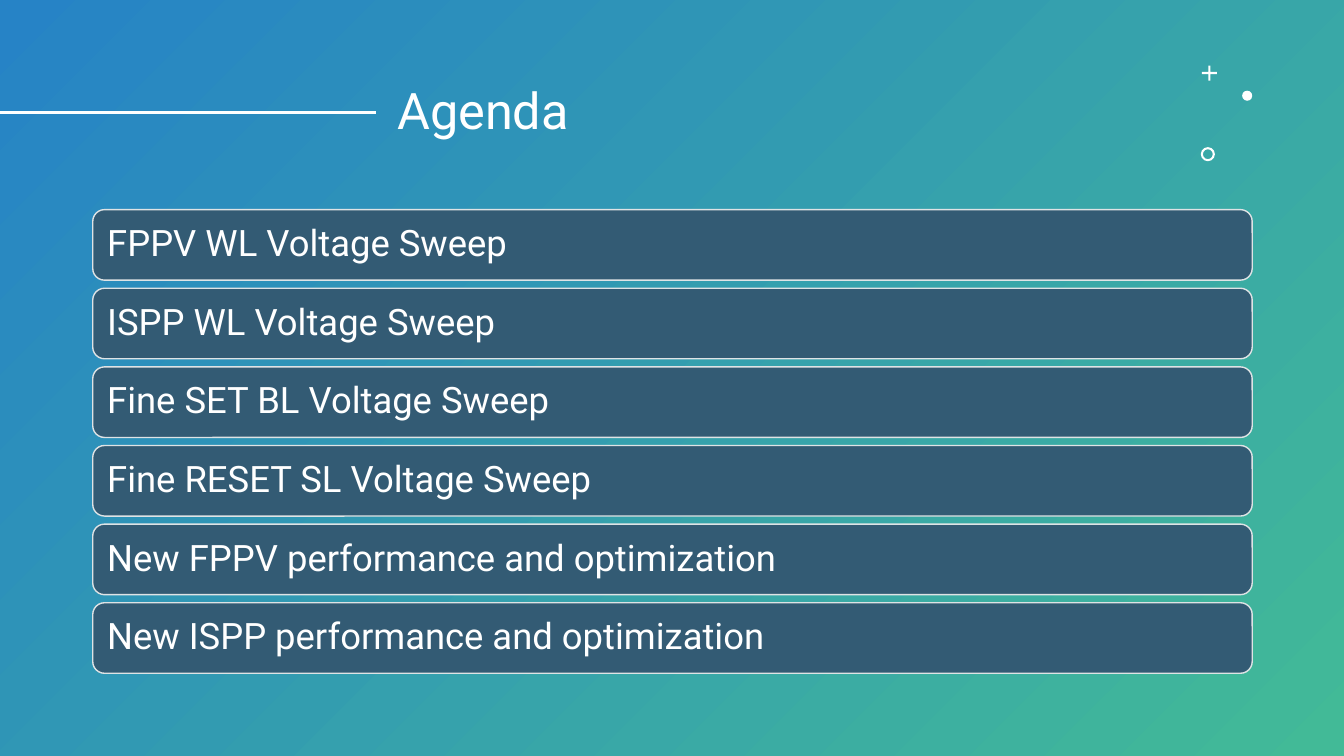
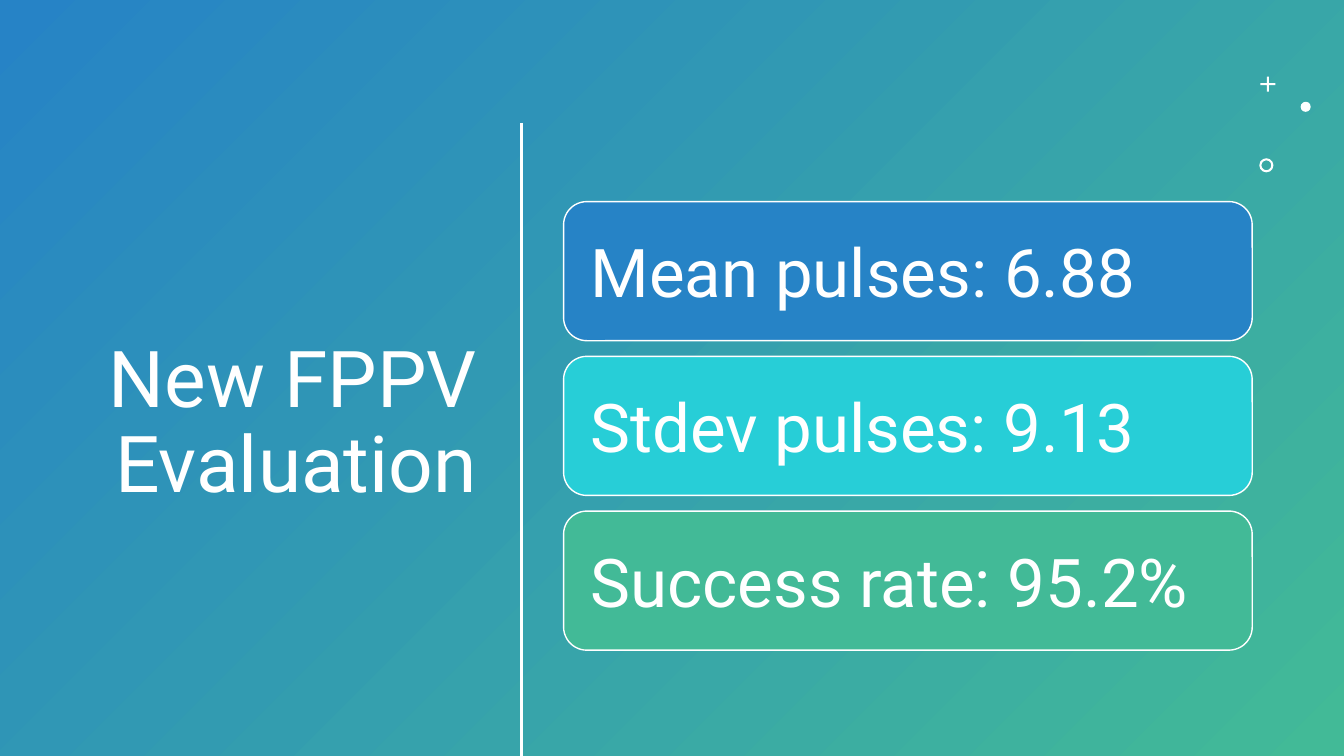
from dataclasses import dataclass

from lxml import etree
from pptx import Presentation
from pptx import util as u
from pptx.dml import color
from pptx.enum import shapes, text
from pptx.oxml import ns

KIND = shapes.MSO_SHAPE
ALIGN = text.PP_ALIGN


@dataclass(frozen=True)
class Theme:
    """Colours, font and type sizes of the presentation."""
    font: str = "Roboto"
    white: str = "FFFFFF"
    blue: str = "2683C6"
    cyan: str = "27CED7"
    green: str = "42BA97"
    slate: str = "335B74"
    edge: str = "DFE3E5"
    title: int = 36
    hero: int = 56
    item: int = 26
    figure: int = 48
    rule: int = 2
    border: int = 1


def rgb(value):
    """Turn a hex string into a colour."""
    return color.RGBColor.from_string(value)


def assign(target, values):
    """Set attributes from a dict of format values."""
    for name, value in values.items():
        setattr(target, name, value)


class Deck:
    """Hold the style and the current slide, and draw each kind of element."""

    def __init__(self, theme):
        """Start a widescreen presentation."""
        self.theme = theme
        self.prs = Presentation()
        assign(self.prs, {"slide_width": u.Inches(13.33), "slide_height": u.Inches(7.5)})
        self.s = None

    def slide(self):
        """Add a slide with a title placeholder and the gradient background."""
        self.s = self.prs.slides.add_slide(self.prs.slide_layouts[5])
        fill = self.s.background.fill
        fill.gradient()
        fill.gradient_angle = 315
        for stop, value in zip(fill.gradient_stops, (self.theme.blue, self.theme.green)):
            stop.color.rgb = rgb(value)

    def label(self, sp, words, size, align=ALIGN.LEFT, spacing=0.9, inset=0.1):
        """Put one formatted paragraph into a shape."""
        tf = sp.text_frame
        assign(tf, {"word_wrap": True, "auto_size": text.MSO_AUTO_SIZE.NONE,
                    "vertical_anchor": text.MSO_ANCHOR.MIDDLE,
                    "margin_left": u.Inches(inset), "margin_right": u.Inches(inset)})
        p = tf.paragraphs[0]
        assign(p, {"alignment": align, "line_spacing": spacing})
        r = p.add_run()
        r.text = words
        assign(r.font, {"name": self.theme.font, "size": u.Pt(size)})
        r.font.color.rgb = rgb(self.theme.white)

    def title(self, words, box, size, align=ALIGN.LEFT):
        """Move and fill the title placeholder."""
        sp = self.s.shapes.title
        assign(sp, dict(zip(("left", "top", "width", "height"), map(u.Inches, box))))
        self.label(sp, words, size, align)

    def shape(self, kind, box, fill, line=None, adjust=None):
        """Add a flat preset shape."""
        sp = self.s.shapes.add_shape(kind, *map(u.Inches, box))
        sp.shadow.inherit = False
        sp.fill.solid()
        sp.fill.fore_color.rgb = rgb(fill)
        if line:
            sp.line.color.rgb = rgb(line)
            sp.line.width = u.Pt(self.theme.border)
        else:
            sp.line.fill.background()
        if adjust is not None:
            sp.adjustments[0] = adjust
        return sp

    def rule(self, *ends):
        """Add a straight white line."""
        sp = self.s.shapes.add_connector(shapes.MSO_CONNECTOR.STRAIGHT, *map(u.Inches, ends))
        sp.line.color.rgb = rgb(self.theme.white)
        sp.line.width = u.Pt(self.theme.rule)
        etree.SubElement(sp._element.spPr, ns.qn("a:effectLst"))

    def ornament(self, left, top):
        """Add the plus, dot and ring decoration."""
        for kind, dx, dy, size, adjust in (
            (KIND.CROSS, 0, 0, 0.15, 0.43),
            (KIND.OVAL, 0.4, 0.25, 0.1, None),
            (KIND.DONUT, -0.01, 0.81, 0.14, 0.15),
        ):
            self.shape(kind, (left + dx, top + dy, size, size), self.theme.white, adjust=adjust)

    def panels(self, items, box, height, line, size, spacing, inset):
        """Stack equal rounded panels evenly over a box."""
        left, top, width, total = box
        pitch = (total - height) / (len(items) - 1)
        for i, (words, fill) in enumerate(items):
            sp = self.shape(KIND.ROUNDED_RECTANGLE,
                            (left, top + i * pitch, width, height), fill, line)
            self.label(sp, words, size, spacing=spacing, inset=inset)


def agenda(deck):
    """Build the agenda slide."""
    t = deck.theme
    deck.slide()
    deck.title("Agenda", (3.84, 0.4, 7.83, 1.45), t.title)
    deck.ornament(11.92, 0.65)
    deck.rule(0, 1.12, 3.73, 1.12)
    topics = ("FPPV WL Voltage Sweep", "ISPP WL Voltage Sweep",
              "Fine SET BL Voltage Sweep", "Fine RESET SL Voltage Sweep",
              "New FPPV performance and optimization",
              "New ISPP performance and optimization")
    deck.panels([(topic, t.slate) for topic in topics], (0.92, 2.08, 11.5, 4.6),
                0.7, t.edge, t.item, 0.9, 0.11)


def evaluation(deck):
    """Build the evaluation slide."""
    t = deck.theme
    deck.slide()
    deck.title("New FPPV Evaluation", (0.52, 1.16, 4.31, 6.11), t.hero, ALIGN.RIGHT)
    deck.ornament(12.5, 0.76)
    deck.rule(5.17, 1.22, 5.17, 7.5)
    results = (("Mean pulses: 6.88", t.blue), ("Stdev pulses: 9.13", t.cyan),
               ("Success rate: 95.2%", t.green))
    deck.panels(results, (5.59, 2, 6.83, 4.45), 1.38, t.white, t.figure, 1.0, 0.2)


def main():
    """Build and save the presentation."""
    deck = Deck(Theme())
    agenda(deck)
    evaluation(deck)
    deck.prs.save("out.pptx")


if __name__ == "__main__":
    main()
